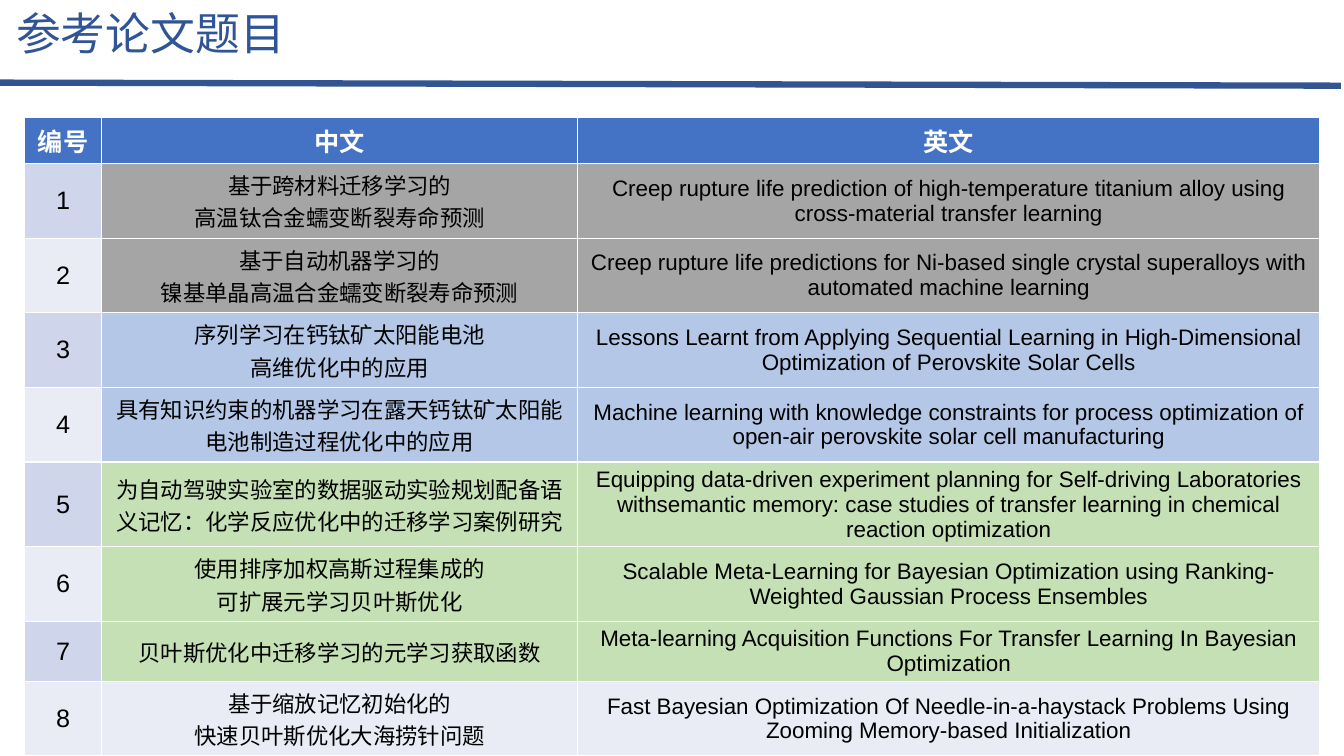
import pptx
import pptx.util
import pptx.oxml.ns
import pptx.dml.color
import pptx.enum.shapes
import pptx.enum.text
import lxml.etree

Inches = pptx.util.Inches
COLORS = {
    "title": "2F5597", "rule": "325491", "white": "FFFFFF", "black": "000000",
    "header": "4472C4", "odd": "CFD5EA", "even": "E9EBF5",
    "gray": "A5A5A5", "blue": "B4C7E7", "green": "C5E0B4",
}

# Fill group, Chinese title, English title
PAPERS = [
    ("gray", "基于跨材料迁移学习的\n高温钛合金蠕变断裂寿命预测",
     "Creep rupture life prediction of high-temperature titanium alloy using "
     "cross-material transfer learning"),
    ("gray", "基于自动机器学习的\n镍基单晶高温合金蠕变断裂寿命预测",
     "Creep rupture life predictions for Ni-based single crystal superalloys with "
     "automated machine learning"),
    ("blue", "序列学习在钙钛矿太阳能电池\n高维优化中的应用",
     "Lessons Learnt from Applying Sequential Learning in High-Dimensional "
     "Optimization of Perovskite Solar Cells"),
    ("blue", "具有知识约束的机器学习在露天钙钛矿太阳能电池制造过程优化中的应用",
     "Machine learning with knowledge constraints for process optimization of "
     "open-air perovskite solar cell manufacturing"),
    ("green", "为自动驾驶实验室的数据驱动实验规划配备语义记忆：化学反应优化中的迁移学习案例研究",
     "Equipping data-driven experiment planning for Self-driving Laboratories "
     "withsemantic memory: case studies of transfer learning in chemical "
     "reaction optimization"),
    ("green", "使用排序加权高斯过程集成的\n可扩展元学习贝叶斯优化",
     "Scalable Meta-Learning for Bayesian Optimization using Ranking-Weighted "
     "Gaussian Process Ensembles"),
    ("green", "贝叶斯优化中迁移学习的元学习获取函数",
     "Meta-learning Acquisition Functions For Transfer Learning In Bayesian "
     "Optimization"),
    ("even", "基于缩放记忆初始化的\n快速贝叶斯优化大海捞针问题",
     "Fast Bayesian Optimization Of Needle-in-a-haystack Problems Using "
     "Zooming Memory-based Initialization"),
]


class PaperPage:
    font = "Arial"

    def __init__(self, deck):
        self.slide = deck.slides.add_slide(deck.slide_layouts[5])

    def color(self, name):
        return pptx.dml.color.RGBColor.from_string(COLORS[name])

    def fill_text(self, frame, text, size, color, align, bold=False):
        frame.text = text
        for para in frame.paragraphs:
            para.alignment = align
            for span in para.runs:
                span.font.name = self.font
                span.font.size = pptx.util.Pt(size)
                span.font.bold = bold
                span.font.color.rgb = self.color(color)

    def title(self, text, left, top, width, height):
        box = self.slide.shapes.title
        box.left, box.top = Inches(left), Inches(top)
        box.width, box.height = Inches(width), Inches(height)
        frame = box.text_frame
        frame.vertical_anchor = pptx.enum.text.MSO_ANCHOR.TOP
        frame.auto_size = pptx.enum.text.MSO_AUTO_SIZE.NONE
        self.fill_text(frame, text, 32, "title", pptx.enum.text.PP_ALIGN.RIGHT)

    def line(self, x1, y1, x2, y2, color, weight):
        rule = self.slide.shapes.add_connector(
            pptx.enum.shapes.MSO_CONNECTOR.STRAIGHT,
            Inches(x1), Inches(y1), Inches(x2), Inches(y2))
        rule.line.color.rgb = self.color(color)
        rule.line.width = pptx.util.Pt(weight)
        lxml.etree.SubElement(rule._element.spPr, pptx.oxml.ns.qn("a:effectLst"))

    def table(self, left, top, widths, row_height, rows):
        table = self.slide.shapes.add_table(
            len(rows), len(widths), Inches(left), Inches(top),
            Inches(sum(widths)), Inches(row_height * len(rows))).table
        for column, width in zip(table.columns, widths):
            column.width = Inches(width)
        for row, values in enumerate(rows):
            # Rows grow from this minimum to fit their text
            table.rows[row].height = Inches(row_height)
            for column, (text, fill, size) in enumerate(values):
                cell = table.cell(row, column)
                cell.fill.solid()
                cell.fill.fore_color.rgb = self.color(fill)
                cell.vertical_anchor = pptx.enum.text.MSO_ANCHOR.MIDDLE
                self.fill_text(cell.text_frame, text, size, "black" if row else "white",
                               pptx.enum.text.PP_ALIGN.CENTER, bold=row == 0)


def main():
    deck = pptx.Presentation()
    deck.slide_width, deck.slide_height = Inches(13.33), Inches(7.5)
    page = PaperPage(deck)

    # Heading and rule
    page.title("参考论文题目", 0.04, 0.01, 2.89, 0.85)
    page.line(0, 0.82, 13.3, 0.85, "rule", 4.5)

    # Paper list
    rows = [[(name, "header", 18) for name in ("编号", "中文", "英文")]]
    for number, (group, chinese, english) in enumerate(PAPERS, start=1):
        band = "odd" if number % 2 else "even"
        rows.append([(str(number), band, 18), (chinese, group, 16), (english, group, 16)])
    page.table(0.24, 1.16, (0.77, 4.72, 7.36), 0.41, rows)

    deck.save("out.pptx")


if __name__ == "__main__":
    main()
